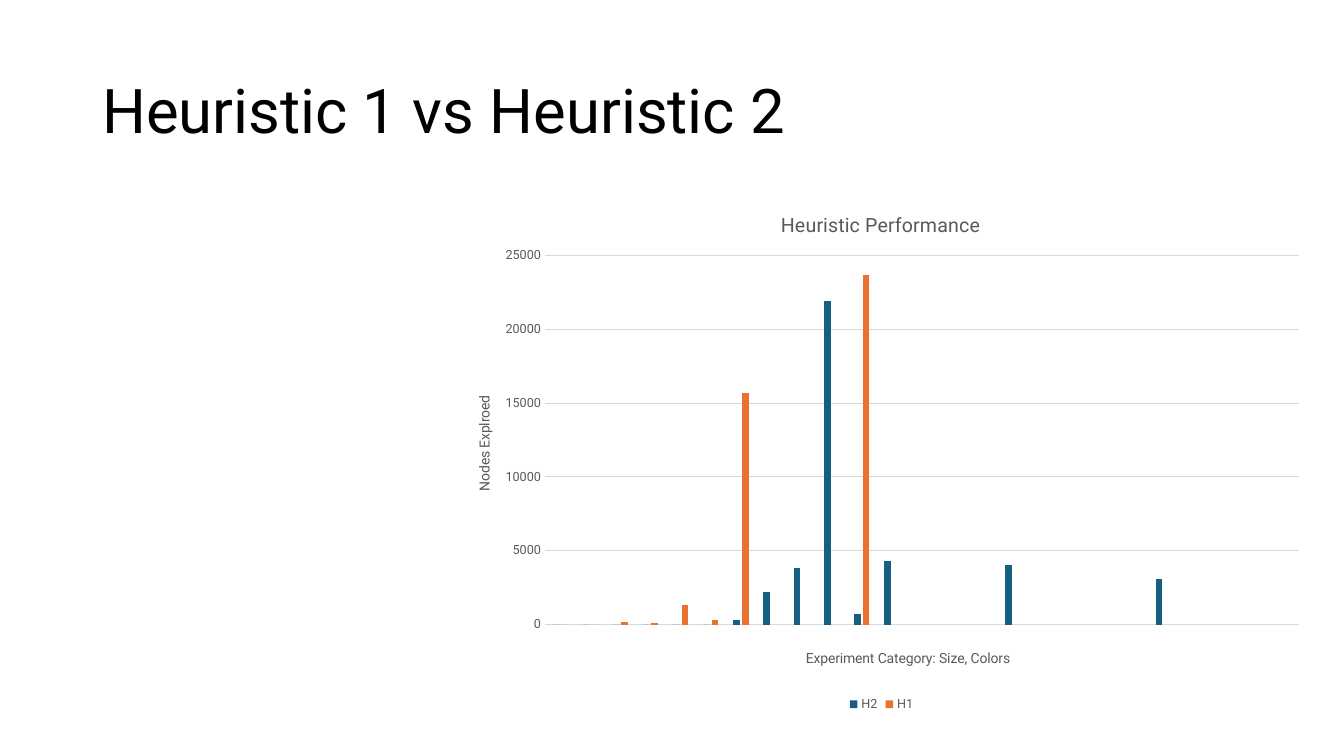
from lxml.etree import SubElement
from pptx import Presentation
from pptx.chart.data import CategoryChartData as ChartData
from pptx.dml.color import RGBColor
from pptx.enum.chart import XL_CHART_TYPE as ChartType
from pptx.enum.chart import XL_LEGEND_POSITION as LegendPos
from pptx.enum.chart import XL_TICK_MARK as TickMark
from pptx.enum.text import MSO_ANCHOR as Anchor
from pptx.oxml.ns import qn
from pptx.util import Pt

FONT = "Roboto"
GREY = "595959"
CATEGORY_COUNT = 25
H2_NODES = {7: 300, 8: 2200, 9: 3800, 10: 21900, 11: 700, 12: 4300, 16: 4000, 21: 3100}
H2_NODES.update(dict.fromkeys(range(1, 7), 0))
H1_NODES = {1: 0, 2: 0, 3: 200, 4: 100, 5: 1300, 6: 300, 7: 15700, 11: 23700}
SERIES = [("H2", H2_NODES, "156082"), ("H1", H1_NODES, "E97132")]


def rgb(color):
    return RGBColor.from_string(color)


def style_font(font, size, color):
    font.name = FONT
    font.size = Pt(size)
    font.bold = False
    font.color.rgb = rgb(color)


def add_heading(s, text):
    box = s.shapes.add_textbox(Pt(66), Pt(28.75), Pt(828), Pt(104.4))
    tf = box.text_frame
    tf.word_wrap = True
    tf.vertical_anchor = Anchor.MIDDLE
    tf.text = text
    p = tf.paragraphs[0]
    p.line_spacing = 0.9
    style_font(p.runs[0].font, 44, "000000")


def set_layout(element, index, **fractions):
    for old in element.findall(qn("c:layout")):
        element.remove(old)
    layout = SubElement(element, qn("c:layout"))
    element.insert(index, layout)
    manual = SubElement(layout, qn("c:manualLayout"))
    if "w" in fractions:
        SubElement(manual, qn("c:layoutTarget")).set("val", "inner")
    for mode in ("xMode", "yMode"):
        SubElement(manual, qn(f"c:{mode}")).set("val", "edge")
    for name, value in fractions.items():
        SubElement(manual, qn(f"c:{name}")).set("val", str(value))


def set_title(title, text, size, x, y, rotation=0):
    tf = title.text_frame
    tf.text = text
    style_font(tf.paragraphs[0].runs[0].font, size, GREY)
    body = title._element.find(".//" + qn("a:bodyPr"))
    body.set("rot", str(rotation * 60000))
    body.set("vert", "horz")
    set_layout(title._element, 1, x=x, y=y)


def add_performance_chart(s):
    data = ChartData()
    data.categories = [str(n) for n in range(1, CATEGORY_COUNT + 1)]
    for name, nodes, _ in SERIES:
        data.add_series(name, [nodes.get(n) for n in range(1, CATEGORY_COUNT + 1)])
    chart = s.shapes.add_chart(
        ChartType.COLUMN_CLUSTERED, Pt(319), Pt(133.2), Pt(621.4), Pt(378), data
    ).chart
    style_font(chart.font, 10, "000000")

    plot = chart.plots[0]
    plot.gap_width = 219
    plot.overlap = -27
    plot.vary_by_categories = False
    for series, (_, _, color) in zip(plot.series, SERIES):
        series.format.fill.solid()
        series.format.fill.fore_color.rgb = rgb(color)
        series.invert_if_negative = False

    nodes_axis = chart.value_axis
    nodes_axis.minimum_scale = 0
    nodes_axis.maximum_scale = 25000
    nodes_axis.major_unit = 5000
    nodes_axis.major_tick_mark = TickMark.NONE
    nodes_axis.format.line.fill.background()
    style_font(nodes_axis.tick_labels.font, 9, GREY)
    grid = nodes_axis.major_gridlines.format.line
    grid.color.rgb = rgb("D9D9D9")
    grid.width = Pt(0.75)
    chart.category_axis.visible = False

    chart.has_title = True
    set_title(chart.chart_title, "Heuristic Performance", 14, 0.38, 0.04)
    set_title(nodes_axis.axis_title, "Nodes Explroed", 10, 0.03, 0.39, -90)
    set_title(chart.category_axis.axis_title, "Experiment Category: Size, Colors", 10, 0.41, 0.87)

    chart.has_legend = True
    chart.legend.position = LegendPos.BOTTOM
    chart.legend.include_in_layout = False
    style_font(chart.legend.font, 9, GREY)
    plot_area = chart._chartSpace.find(".//" + qn("c:plotArea"))
    set_layout(plot_area, 0, x=0.113, y=0.131, w=0.867, h=0.697)


def main():
    prs = Presentation()
    prs.slide_width = Pt(960)
    prs.slide_height = Pt(540)
    s = prs.slides.add_slide(prs.slide_layouts[6])
    add_heading(s, "Heuristic 1 vs Heuristic 2")
    add_performance_chart(s)
    prs.save("out.pptx")


if __name__ == "__main__":
    main()
